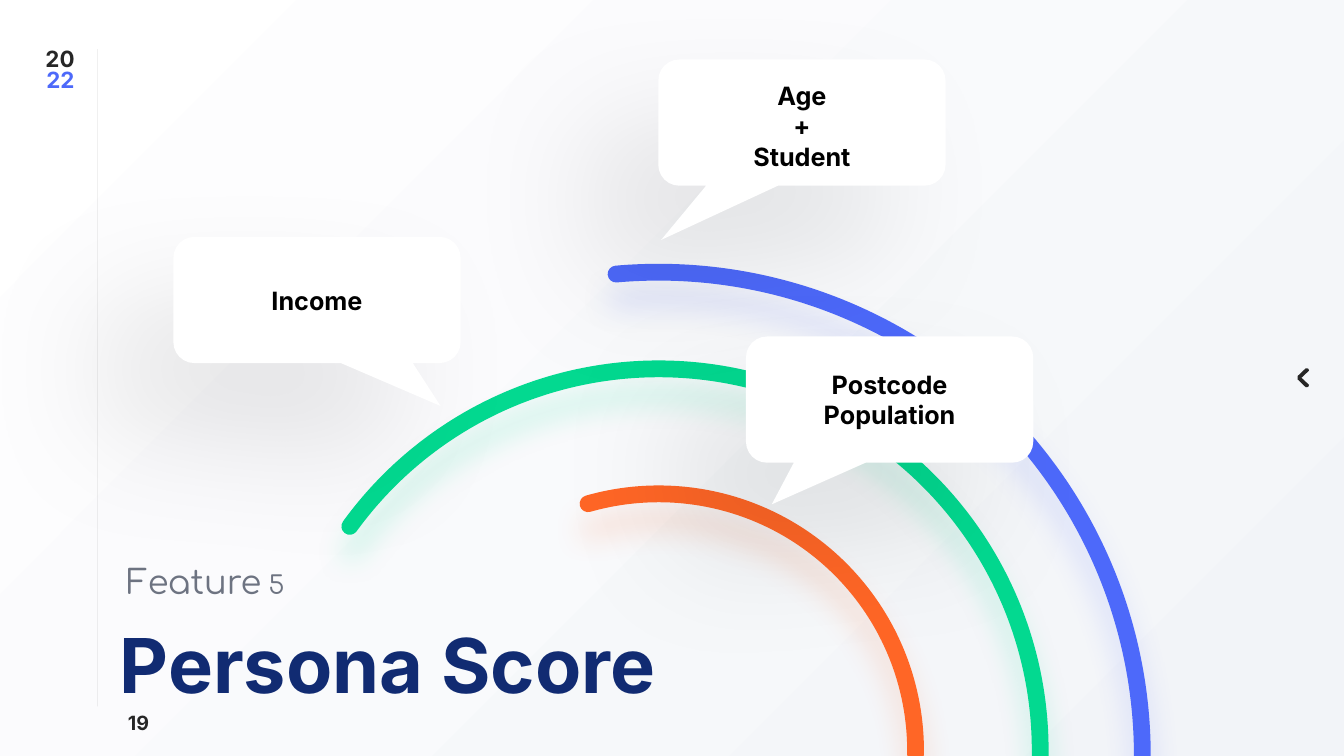
from lxml.etree import SubElement
from pptx import Presentation
from pptx.dml.color import RGBColor
from pptx.enum.shapes import MSO_CONNECTOR, MSO_SHAPE
from pptx.enum.text import MSO_ANCHOR, PP_ALIGN
from pptx.oxml.ns import qn
from pptx.util import Cm, Pt

COLORS = {
    "white": "FFFFFF", "mist": "F2F4F8", "black": "000000", "ink": "262626",
    "navy": "112B72", "grey": "6D7381", "rule": "A6A6A6",
    "blue": "4D69FA", "green": "03D990", "orange": "FF6626",
}
CALLOUT_W, CALLOUT_H = 7.24, 3.18
ARC_CENTER_X = 16.6


def rgb(name):
    return RGBColor.from_string(COLORS[name])


def set_alpha(color_element, percent):
    SubElement(color_element, qn("a:alpha")).set("val", str(percent * 1000))


def add_shadow(sp, color, alpha, blur, dist, angle):
    """Give the shape an outer shadow; blur and dist in points, angle in degrees."""
    sp.shadow.inherit = False
    effects = sp._element.spPr.find(qn("a:effectLst"))
    outer = SubElement(effects, qn("a:outerShdw"), {
        "blurRad": str(Pt(blur)), "dist": str(Pt(dist)),
        "dir": str(angle * 60000), "algn": "ctr", "rotWithShape": "0"})
    set_alpha(SubElement(outer, qn("a:srgbClr"), val=COLORS[color]), alpha)


def add_text(s, paragraphs, left, top, width, height, *, size, color="black",
             font="Inter", bold=True, align=PP_ALIGN.LEFT, spacing=None,
             anchor=MSO_ANCHOR.TOP):
    """Each paragraph is a string or a list of (text, format overrides) runs."""
    tf = s.shapes.add_textbox(Cm(left), Cm(top), Cm(width), Cm(height)).text_frame
    tf.word_wrap = True
    tf.vertical_anchor = anchor
    for i, runs in enumerate(paragraphs):
        p = tf.paragraphs[0] if i == 0 else tf.add_paragraph()
        p.alignment = align
        p.line_spacing = spacing
        for text, changes in [(runs, {})] if isinstance(runs, str) else runs:
            r = p.add_run()
            r.text = text
            r.font.name = font
            r.font.bold = bold
            r.font.size = Pt(changes.get("size", size))
            r.font.color.rgb = rgb(changes.get("color", color))


def add_background(s):
    fill = s.background.fill
    fill.gradient()
    fill.gradient_angle = 315
    for stop, color, position in zip(fill.gradient_stops, ("white", "mist"), (0, 0.99)):
        stop.color.rgb = rgb(color)
        stop.position = position


def add_margin_rule(s):
    line = s.shapes.add_connector(MSO_CONNECTOR.STRAIGHT, Cm(2.46), Cm(1.24), Cm(2.46), Cm(17.8))
    line.line.color.rgb = rgb("rule")
    line.line.width = Pt(0.5)
    spPr = line._element.spPr
    set_alpha(next(spPr.iter(qn("a:srgbClr"))), 26)
    SubElement(spPr, qn("a:effectLst"))


def add_chevron(s, tip_x, center_y):
    upper = [(0.23, -0.24), (0.29, -0.23), (0.31, -0.18), (0.12, 0)]
    lower = [(x, -y) for x, y in reversed(upper[:-1])]
    tip = [(0.02, 0.04), (0.02, -0.04)]
    points = [(Cm(tip_x + x), Cm(center_y + y)) for x, y in upper + lower + tip]
    builder = s.shapes.build_freeform(*points[0])
    builder.add_line_segments(points[1:], close=True)
    sp = builder.convert_to_shape()
    sp.shadow.inherit = False
    sp.fill.solid()
    sp.fill.fore_color.rgb = rgb("ink")
    sp.line.fill.background()


def add_arc(s, color, center_y, diameter, start):
    sp = s.shapes.add_shape(MSO_SHAPE.ARC, Cm(ARC_CENTER_X - diameter / 2),
                            Cm(center_y - diameter / 2), Cm(diameter), Cm(diameter))
    sp.adjustments[0] = start
    sp.adjustments[1] = 0.48
    sp.fill.background()
    sp.line.color.rgb = rgb(color)
    sp.line.width = Pt(12)
    sp._element.spPr.find(qn("a:ln")).set("cap", "rnd")
    add_shadow(sp, color, 19, 21, 18, 90)


def add_callout(s, paragraphs, left, top, tail, lines, text_shift=0):
    """Tail is the pointer's tip, relative to the centre in widths and heights."""
    sp = s.shapes.add_shape(MSO_SHAPE.ROUNDED_RECTANGULAR_CALLOUT, Cm(left), Cm(top),
                            Cm(CALLOUT_W), Cm(CALLOUT_H))
    sp.adjustments[0], sp.adjustments[1] = tail
    sp.fill.solid()
    sp.fill.fore_color.rgb = rgb("white")
    sp.line.fill.background()
    add_shadow(sp, "black", 10, 95, 69, 135)
    height = 0.25 + 0.77 * lines
    add_text(s, paragraphs, left + 1.04, top + (CALLOUT_H - height) / 2 + text_shift,
             CALLOUT_W - 2.08, height, size=18, align=PP_ALIGN.CENTER,
             anchor=MSO_ANCHOR.MIDDLE)


def main():
    prs = Presentation()
    prs.slide_width, prs.slide_height = Cm(33.87), Cm(19.05)
    s = prs.slides.add_slide(prs.slide_layouts[6])

    add_background(s)
    add_text(s, ["19"], 2.13, 17.8, 1.88, 0.86, size=14, color="ink", align=PP_ALIGN.RIGHT)
    add_text(s, ["20", [("22", {"color": "blue"})]], 0.71, 1.14, 1.42, 1.37,
             size=16, color="ink", align=PP_ALIGN.RIGHT, spacing=0.8)
    add_margin_rule(s)
    add_chevron(s, 32.68, 9.52)

    for color, center_y, diameter, start in (
            ("blue", 19.05, 24.38, 158.97),
            ("orange", 18.92, 12.95, 152.43),
            ("green", 18.91, 19.23, 129.57)):
        add_arc(s, color, center_y, diameter, start)

    add_text(s, ["Persona Score"], 2.77, 15.9, 19.63, 2.16, size=54, color="navy", spacing=0.8)
    add_callout(s, ["Age", "+", "Student"], 16.59, 1.5, (-0.49, 0.93), 3, text_shift=0.08)
    add_callout(s, ["Postcode Population"], 18.8, 8.48, (-0.41, 0.83), 2)
    add_callout(s, ["Income"], 4.37, 5.97, (0.43, 0.84), 1)
    add_text(s, [[("Feature", {}), (" 5", {"size": 18})]], 2.95, 14.02, 10.44, 1.27,
             size=24, color="grey", font="Comfortaa", bold=False)

    prs.save("out.pptx")


if __name__ == "__main__":
    main()
